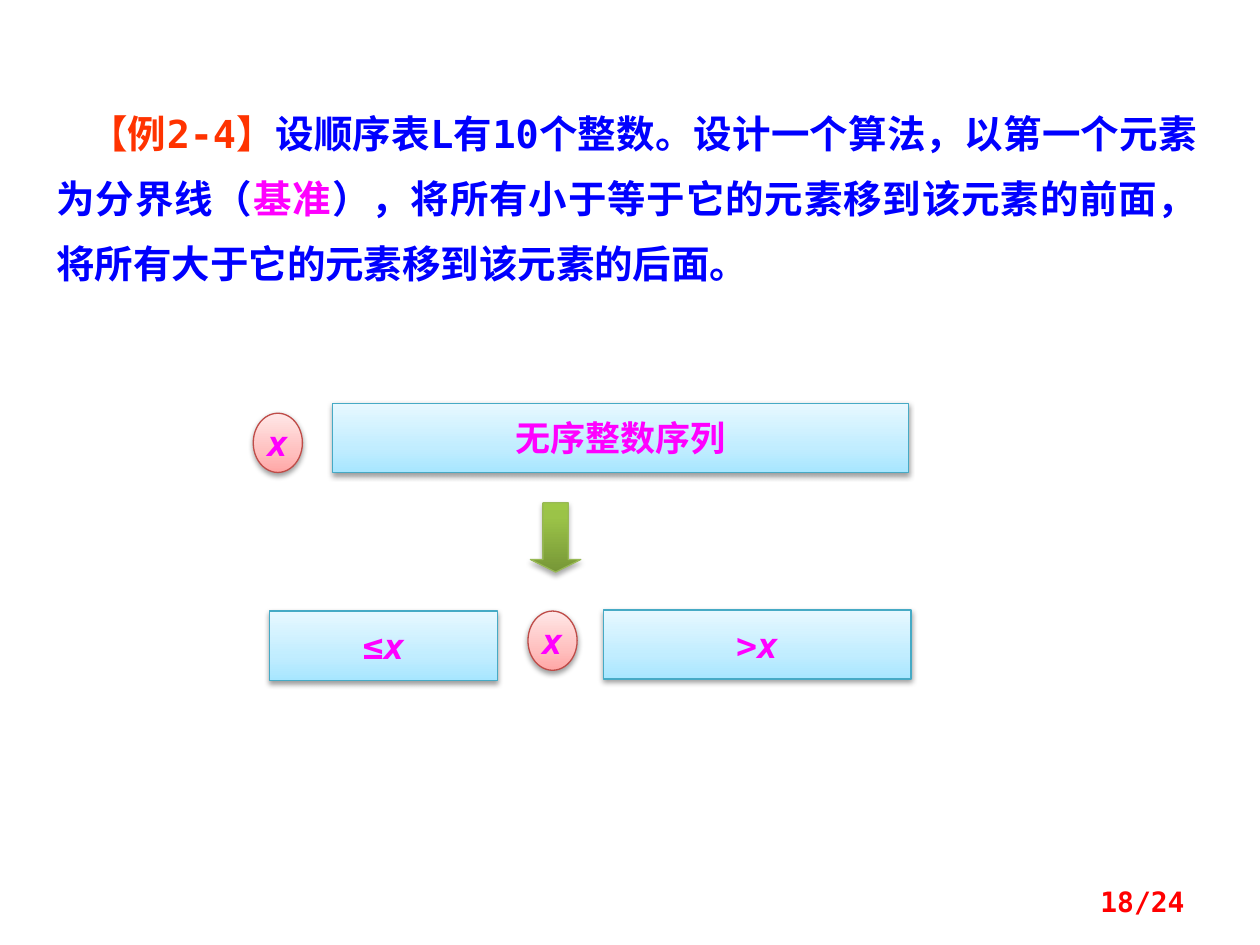
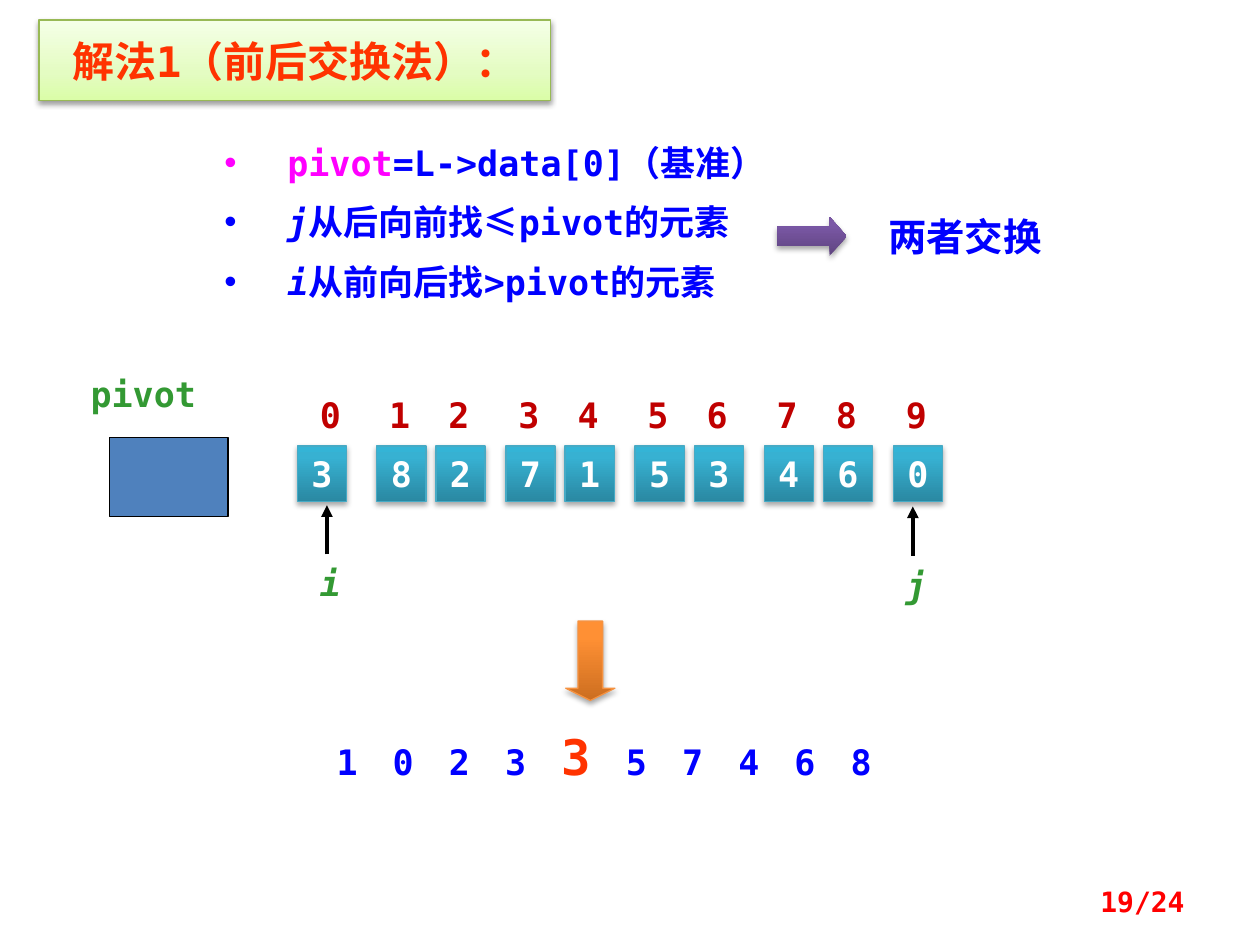
from lxml import etree
from pptx import Presentation
from pptx.dml.color import RGBColor
from pptx.enum.shapes import MSO_CONNECTOR, MSO_SHAPE
from pptx.enum.text import MSO_ANCHOR, MSO_AUTO_SIZE, PP_ALIGN
from pptx.oxml import parse_xml
from pptx.oxml.ns import nsdecls, qn
from pptx.util import Inches, Pt

RECT, OVAL = MSO_SHAPE.RECTANGLE, MSO_SHAPE.OVAL
DOWN, RIGHT_ARROW = MSO_SHAPE.DOWN_ARROW, MSO_SHAPE.RIGHT_ARROW
STRAIGHT = MSO_CONNECTOR.STRAIGHT
TOP, MIDDLE = MSO_ANCHOR.TOP, MSO_ANCHOR.MIDDLE
NO_FIT = MSO_AUTO_SIZE.NONE
LEFT, CENTER, RIGHT, JUSTIFY = PP_ALIGN.LEFT, PP_ALIGN.CENTER, PP_ALIGN.RIGHT, PP_ALIGN.JUSTIFY

FONT = "DejaVu Sans Mono"
BLUE, PINK, ORANGE, GREEN = "0000FF", "FF00FF", "FF3300", "339933"
DARK_RED, RED, WHITE, BLACK = "C00000", "FF0000", "FFFFFF", "000000"
rgb = RGBColor.from_string

PALE, STRONG = (35, 38, 20000), (80, 35, 23000)
ROSE = (("FFA6A5", "FFC0BF", "FFE7E7"), "BF4C48", PALE)
SKY = (("A7E6FF", "C1EDFF", "E7F8FF"), "46AAC5", PALE)
LIME = (("DAFDA7", "E4FCC2", "F5FFE7"), "98B955", PALE)
LEAF = (("779737", "9BC348", "9DC746"), "98B955", STRONG)
TEAL = (("2A88A2", "37B1D2", "34B4D6"), "46AAC5", STRONG)
PURPLE = (("5F4480", "7B58A6", "7C57A8"), None, STRONG)
AMBER = (("CC6E20", "FF9034", "FF9136"), "F69240", STRONG)

prs = Presentation()
prs.slide_width, prs.slide_height = Inches(10), Inches(7.5)
COL, ROW = prs.slide_width / 100, prs.slide_height / 75


def write(p, runs, size, align):
    p.alignment = align
    for text, color, *italic in runs:
        r = p.add_run()
        r.text = text
        r.font.name, r.font.size, r.font.bold = FONT, Pt(size), True
        r.font.italic = bool(italic)
        r.font.color.rgb = rgb(color)


def draw(s, kind, box, runs=(), look=None, size=20, align=LEFT):
    x, y, w, h = box
    frame = [int(v) for v in (x * COL, y * ROW, w * COL, h * ROW)]
    if kind == "text":
        sp = s.shapes.add_textbox(*frame)
    elif kind == "title":
        sp = s.shapes.title
        sp.left, sp.top, sp.width, sp.height = frame
    else:
        sp = s.shapes.add_shape(kind, *frame)
    tf = sp.text_frame
    tf.word_wrap, tf.auto_size = True, NO_FIT
    tf.vertical_anchor = TOP
    if look:
        colors, edge, (middle, alpha, dist) = look
        stops = "".join(
            f'<a:gs pos="{pos * 1000}"><a:srgbClr val="{c}"/></a:gs>'
            for pos, c in zip((0, middle, 100), colors))
        spPr = sp._element.spPr
        spPr.append(parse_xml(
            f'<a:gradFill {nsdecls("a")} rotWithShape="1"><a:gsLst>{stops}</a:gsLst>'
            '<a:lin ang="16200000" scaled="0"/></a:gradFill>'))
        if edge:
            sp.line.color.rgb = rgb(edge)
            sp.line.width = Pt(0.75)
        else:
            sp.line.fill.background()
        spPr.append(parse_xml(
            f'<a:effectLst {nsdecls("a")}><a:outerShdw blurRad="40000" dist="{dist}" '
            'dir="5400000" rotWithShape="0"><a:srgbClr val="000000">'
            f'<a:alpha val="{alpha * 1000}"/></a:srgbClr></a:outerShdw></a:effectLst>'))
        tf.margin_left = tf.margin_right = 0
        tf.vertical_anchor, align = MIDDLE, CENTER
    write(tf.paragraphs[0], runs, size, align)
    return sp


s1 = prs.slides.add_slide(prs.slide_layouts[6])
s2 = prs.slides.add_slide(prs.slide_layouts[1])

sp = draw(s1, "text", (3.5, 6.8, 92.5, 16), [
    ("【例2-4】", ORANGE),
    ("设顺序表L有10个整数。设计一个算法，以第一个元素为分界线（", BLUE),
    ("基准", PINK),
    ("），将所有小于等于它的元素移到该元素的前面，将所有大于它的元素移到该元素的后面。", BLUE),
], size=22, align=JUSTIFY)
p = sp.text_frame.paragraphs[0]
p.line_spacing = 1.4
p._p.get_or_add_pPr().set("indent", str(Inches(0.26)))

x_run = ("x", PINK, True)
for kind, box, runs, look in (
    (OVAL, (20.1, 32.8, 3.9, 4.7), [x_run], ROSE),
    (RECT, (26.4, 32, 45.7, 5.5), [("无序整数序列", PINK)], SKY),
    (DOWN, (42.1, 39.9, 4, 5.5), [], LEAF),
    (RECT, (21.4, 48.5, 18.1, 5.5), [("≤", PINK), x_run], SKY),
    (OVAL, (41.9, 48.5, 3.9, 4.7), [x_run], ROSE),
    (RECT, (47.9, 48.4, 24.4, 5.5), [(">", PINK), x_run], SKY),
):
    sp = draw(s1, kind, box, runs, look)
    if kind == DOWN:
        sp.adjustments[1] = 0.25

draw(s2, "title", (3.1, 1.6, 40.6, 6.4), [("解法1（前后交换法）：", ORANGE)], LIME, 24)

body = s2.placeholders[1]
body.left, body.top = int(16.8 * COL), int(10.7 * ROW)
body.width, body.height = int(53.5 * COL), int(14.5 * ROW)
tf = body.text_frame
tf.auto_size = NO_FIT
steps = (
    [("pivot", PINK), ("=L->data[0]（基准）", BLUE)],
    [("j", BLUE, True), ("从后向前找≤pivot的元素", BLUE)],
    [("i", BLUE, True), ("从前向后找>pivot的元素", BLUE)],
)
for k, runs in enumerate(steps):
    p = tf.add_paragraph() if k else tf.paragraphs[0]
    pPr = p._p.get_or_add_pPr()
    pPr.set("marL", str(Inches(0.5)))
    pPr.set("indent", str(-Inches(0.5)))
    etree.SubElement(pPr, qn("a:buChar")).set("char", "•")
    p.space_before = Pt(10 if k else 0)
    write(p, runs, 20, LEFT)

sp = draw(s2, RIGHT_ARROW, (61.7, 17.2, 5.5, 3.1), look=PURPLE)
sp.adjustments[1] = 0.44
draw(s2, "text", (69.5, 16.4, 19.7, 4.7), [("两者交换", BLUE)], size=22)

draw(s2, "text", (6.2, 29.1, 11.9, 4.4), [("pivot", GREEN)])
sp = draw(s2, RECT, (8.7, 34.7, 9.4, 6.3))
sp.shadow.inherit = False
sp.fill.solid()
sp.fill.fore_color.rgb = rgb("4F81BD")
sp.line.color.rgb = rgb(BLACK)
sp.line.width = Pt(0.75)

for k, value in enumerate((3, 8, 2, 7, 1, 5, 3, 4, 6, 0)):
    pair, second = divmod(k - 1, 2)
    x = 29.9 + 10.25 * pair + 4.7 * second if k else 23.6
    draw(s2, "text", (x if k else 24.4, 30.7, 3.9, 4.3), [(str(k), DARK_RED)])
    draw(s2, RECT, (x, 35.4, 3.9, 4.4), [(str(value), WHITE)], TEAL)

for name, x, y in (("i", 24.4, 44.1), ("j", 70.9, 44.2)):
    draw(s2, "text", (x, y, 3.9, 4.3), [(name, GREEN, True)])
    mid = int((x + 1.55) * COL)
    line = s2.shapes.add_connector(STRAIGHT, mid, int((y - 0.1) * ROW), mid, int((y - 4) * ROW))
    line.line.color.rgb = rgb(BLACK)
    line.line.width = Pt(2.25)
    etree.SubElement(line.line._get_or_add_ln(), qn("a:tailEnd")).set("type", "triangle")
    etree.SubElement(line._element.spPr, qn("a:effectLst"))

sp = draw(s2, DOWN, (44.9, 49.3, 3.9, 6.3), look=AMBER)
sp.adjustments[1] = 0.25
sp = draw(s2, "text", (24, 57.2, 47.9, 5.7), [("1　0　2　3　", BLUE)], align=CENTER)
p = sp.text_frame.paragraphs[0]
write(p, [("3", ORANGE)], 28, CENTER)
write(p, [("　5　7　4　6　8", BLUE)], 20, CENTER)

for number, s in enumerate((s1, s2), 18):
    sp = draw(s, "text", (71.7, 69.5, 23.3, 4), [(f"{number}/24", RED)], size=16, align=RIGHT)
    sp.text_frame.vertical_anchor = MIDDLE

prs.save("out.pptx")
